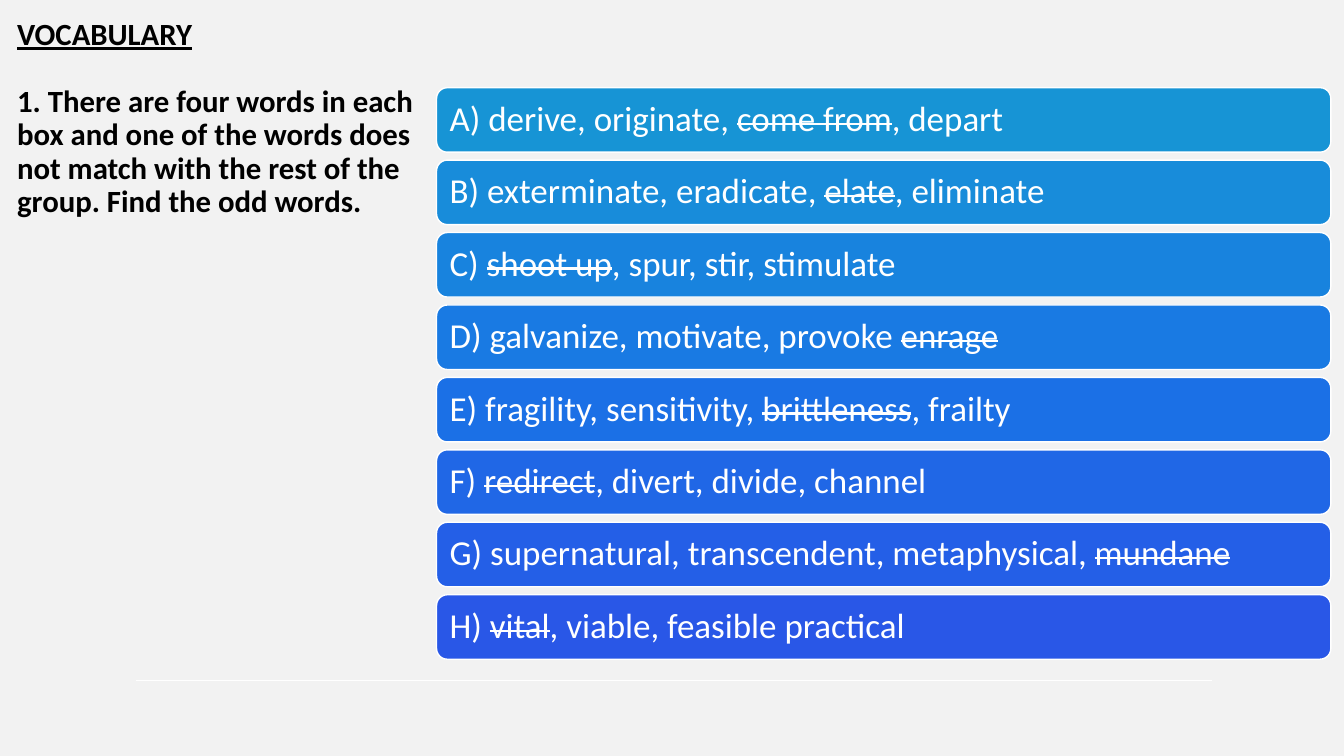
from dataclasses import dataclass

from lxml.etree import SubElement
from pptx import Presentation
from pptx.dml.color import RGBColor
from pptx.enum.shapes import MSO_CONNECTOR, MSO_SHAPE
from pptx.enum.text import MSO_ANCHOR, MSO_AUTO_SIZE, PP_ALIGN
from pptx.oxml.ns import qn
from pptx.util import Inches, Pt


@dataclass(frozen=True)
class Theme:
    font: str = "Calibri"
    background: str = "F2F2F2"
    title: str = "000000"
    light: str = "FFFFFF"
    bars: tuple = ("1794D5", "188CDA", "1883DE", "197AE3",
                   "1B70E6", "2067E6", "245FE7", "2957E7")
    title_size: int = 22
    bar_size: int = 25
    line_width: int = 1


THEME = Theme()

# Grid of the word boxes, in inches
BAR_LEFT, BAR_TOP, BAR_WIDTH, BAR_HEIGHT = 4.33, 0.87, 8.87, 0.64
BAR_PITCH = 0.7186

HEADING = "VOCABULARY"
TASK = ("1. There are four words in each box and one of the words does not "
        "match with the rest of the group. Find the odd words.")

# Text before the odd word, the odd word, text after it
WORD_GROUPS = [
    ("A) derive, originate, ", "come from", ", depart"),
    ("B) exterminate, eradicate, ", "elate", ", eliminate"),
    ("C) ", "shoot up", ", spur, stir, stimulate"),
    ("D) galvanize, motivate, provoke ", "enrage", ""),
    ("E) fragility, sensitivity, ", "brittleness", ", frailty"),
    ("F) ", "redirect", ", divert, divide, channel"),
    ("G) supernatural, transcendent, metaphysical, ", "mundane", ""),
    ("H) ", "vital", ", viable, feasible practical"),
]


def color(value):
    return RGBColor.from_string(value)


def apply_format(target, values):
    for name, value in values.items():
        setattr(target, name, value)


def add_run(paragraph, text, size, font_color, **extra):
    run = paragraph.add_run()
    run.text = text
    apply_format(run.font, {"name": THEME.font, "size": Pt(size), **extra})
    run.font.color.rgb = color(font_color)
    return run


def style_line(line):
    line.color.rgb = color(THEME.light)
    line.width = Pt(THEME.line_width)


def fill_title(slide):
    title = slide.shapes.title
    apply_format(title, {"left": Inches(0.07), "top": Inches(0.14),
                         "width": Inches(4.13), "height": Inches(3.25)})
    frame = title.text_frame
    apply_format(frame, {"word_wrap": True, "auto_size": MSO_AUTO_SIZE.NONE,
                         "vertical_anchor": MSO_ANCHOR.TOP})
    paragraphs = [frame.paragraphs[0], frame.add_paragraph()]
    for paragraph, text, underline, gap in zip(
            paragraphs, (HEADING, TASK), (True, False), (24, 0)):
        apply_format(paragraph, {"alignment": PP_ALIGN.LEFT, "line_spacing": 0.9,
                                 "space_before": Pt(0), "space_after": Pt(gap)})
        add_run(paragraph, text, THEME.title_size, THEME.title,
                bold=True, underline=underline)


def add_rule(slide):
    rule = slide.shapes.add_connector(
        MSO_CONNECTOR.STRAIGHT, Inches(1.35), Inches(6.75), Inches(12.02), Inches(6.75))
    style_line(rule.line)
    SubElement(rule._element.spPr, qn("a:effectLst"))


def add_word_bar(slide, row, group):
    bar = slide.shapes.add_shape(
        MSO_SHAPE.ROUNDED_RECTANGLE, Inches(BAR_LEFT),
        Inches(BAR_TOP + row * BAR_PITCH), Inches(BAR_WIDTH), Inches(BAR_HEIGHT))
    bar.shadow.inherit = False
    bar.fill.solid()
    bar.fill.fore_color.rgb = color(THEME.bars[row])
    style_line(bar.line)

    frame = bar.text_frame
    inset = Inches(0.1)
    apply_format(frame, {"word_wrap": True, "vertical_anchor": MSO_ANCHOR.MIDDLE,
                         "margin_left": inset, "margin_right": inset,
                         "margin_top": inset, "margin_bottom": inset})
    paragraph = frame.paragraphs[0]
    apply_format(paragraph, {"alignment": PP_ALIGN.LEFT, "line_spacing": 0.9})
    before, odd_word, after = group
    add_run(paragraph, before, THEME.bar_size, THEME.light)
    struck = add_run(paragraph, odd_word, THEME.bar_size, THEME.light)
    struck._r.get_or_add_rPr().set("strike", "sngStrike")
    if after:
        add_run(paragraph, after, THEME.bar_size, THEME.light)


def main():
    presentation = Presentation()
    apply_format(presentation, {"slide_width": Inches(13.33),
                                "slide_height": Inches(7.5)})
    slide = presentation.slides.add_slide(
        presentation.slide_layouts.get_by_name("Title Only"))
    slide.background.fill.solid()
    slide.background.fill.fore_color.rgb = color(THEME.background)

    # Heading and task on the left
    fill_title(slide)
    add_rule(slide)

    # Word boxes on the right
    for row, group in enumerate(WORD_GROUPS):
        add_word_bar(slide, row, group)

    presentation.save("out.pptx")


if __name__ == "__main__":
    main()
